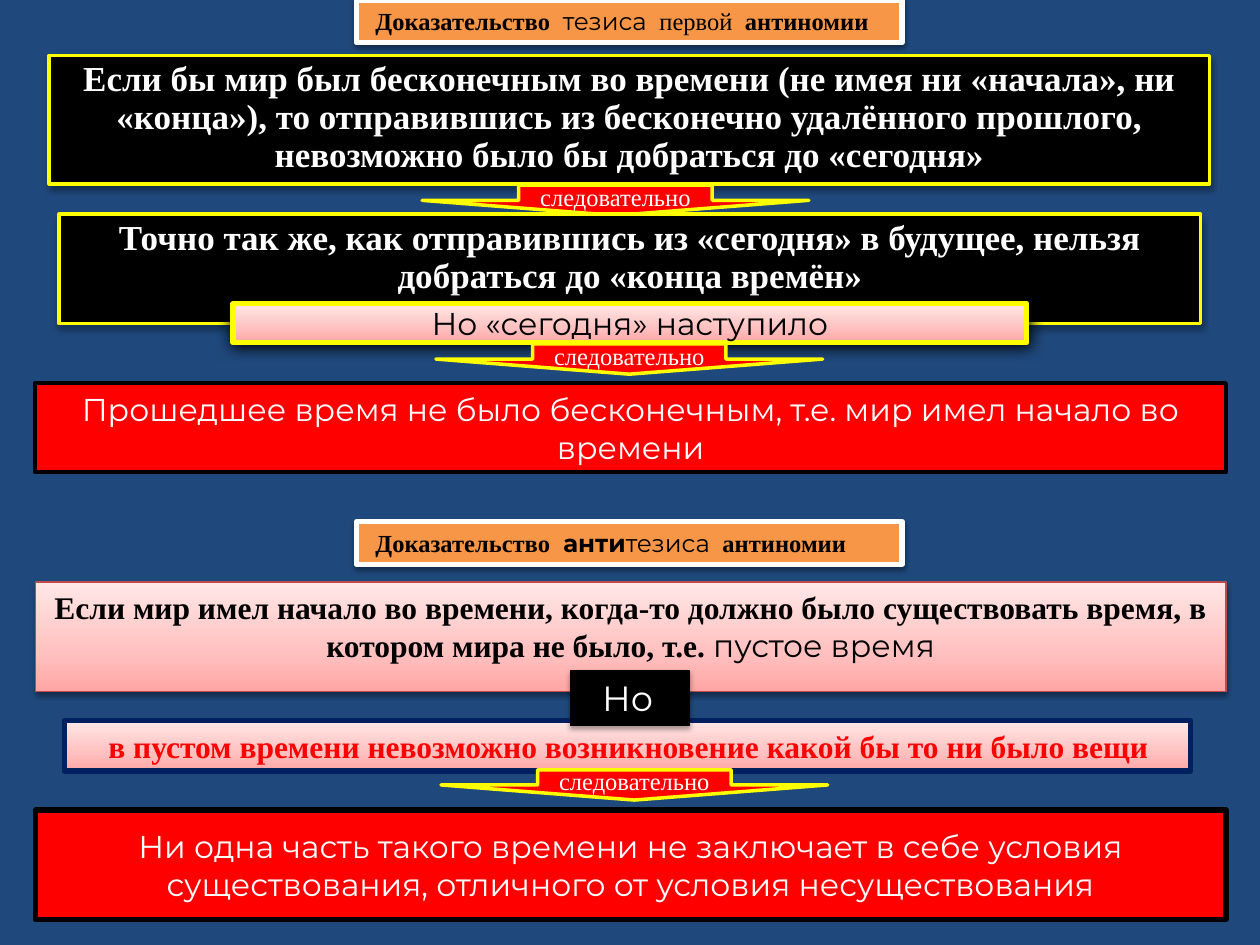
from copy import deepcopy

from lxml import etree
from pptx import Presentation
from pptx.dml.color import RGBColor
from pptx.enum import shapes, text
from pptx.oxml import ns
from pptx.util import Inches, Pt

NAVY = RGBColor(0x1F, 0x49, 0x7D)
DARK_BLUE = RGBColor(0x00, 0x20, 0x60)
ORANGE = RGBColor(0xF7, 0x96, 0x46)
WHITE = RGBColor(0xFF, 0xFF, 0xFF)
BLACK = RGBColor(0x00, 0x00, 0x00)
YELLOW = RGBColor(0xFF, 0xFF, 0x00)
RED = RGBColor(0xFF, 0x00, 0x00)
BRICK = RGBColor(0xBF, 0x4C, 0x48)
PINKS = (
    (0, RGBColor(0xFF, 0xA6, 0xA5)),
    (0.35, RGBColor(0xFF, 0xC0, 0xBF)),
    (1, RGBColor(0xFF, 0xE7, 0xE7)),
)

SERIF = "Times New Roman"
SANS = "Montserrat"
RECT = shapes.MSO_SHAPE.RECTANGLE
ARROW = shapes.MSO_SHAPE.DOWN_ARROW
TOP, MIDDLE = text.MSO_ANCHOR.TOP, text.MSO_ANCHOR.MIDDLE
LEFT, CENTER = text.PP_ALIGN.LEFT, text.PP_ALIGN.CENTER

SOFT_SHADOW = (38, 3.1, 1.6)
DEEP_SHADOW = (32, 3.5, 2.2)
GLOW_SHADOW = (100, 8.5, 1)
LABEL_SHADOW = (35, 3.1, 1.8)


def paint_pink(panel):
    panel.fill.gradient()
    stops = panel._element.spPr.find(".//" + ns.qn("a:gsLst"))
    stops.insert(1, deepcopy(stops[0]))
    for stop, (position, color) in zip(panel.fill.gradient_stops, PINKS):
        stop.position = position
        stop.color.rgb = color
    panel.fill.gradient_angle = 90


def cast_shadow(panel, opacity, blur, distance):
    effects = panel._element.spPr.find(ns.qn("a:effectLst"))
    outer = etree.SubElement(
        effects, ns.qn("a:outerShdw"), blurRad=str(Pt(blur)),
        dist=str(Pt(distance)), dir="5400000", rotWithShape="0")
    color = etree.SubElement(outer, ns.qn("a:srgbClr"), val=str(BLACK))
    etree.SubElement(color, ns.qn("a:alpha"), val=str(opacity * 1000))


def add_panel(slide, box, fill, line, runs, size, color, shadow=None,
              kind=RECT, anchor=MIDDLE, align=CENTER, indent=0, spacing=None):
    panel = slide.shapes.add_shape(kind, *(Inches(side) for side in box))
    if fill is PINKS:
        paint_pink(panel)
    else:
        panel.fill.solid()
        panel.fill.fore_color.rgb = fill
    panel.line.color.rgb, panel.line.width = line[0], Pt(line[1])
    panel.shadow.inherit = False
    if shadow:
        cast_shadow(panel, *shadow)
    frame = panel.text_frame
    frame.word_wrap = True
    frame.vertical_anchor = anchor
    frame.margin_left = Inches(0.1 + indent)
    paragraph = frame.paragraphs[0]
    paragraph.alignment = align
    paragraph.line_spacing = spacing
    for words, font_name, bold in runs:
        run = paragraph.add_run()
        run.text = words
        looks = {"name": font_name, "bold": bold, "size": Pt(size)}
        for key, value in looks.items():
            setattr(run.font, key, value)
        run.font.color.rgb = color


def add_heading(slide, left, top, runs):
    add_panel(slide, (left + 2.55, top, 4.33, 0.34), ORANGE, (WHITE, 3), runs,
              14, BLACK, SOFT_SHADOW, anchor=TOP, align=LEFT, indent=0.05)


def add_therefore(slide, left, top):
    add_panel(slide, (left, top, 3.07, 0.24), RED, (YELLOW, 2),
              [("следовательно", SERIF, False)], 14, WHITE, kind=ARROW)


def add_premise(slide, box, words):
    add_panel(slide, box, BLACK, (YELLOW, 2), [(words, SERIF, True)],
              20, WHITE, DEEP_SHADOW, anchor=TOP, spacing=0.9)


def add_conclusion(slide, box, words, border):
    add_panel(slide, box, RED, (BLACK, border), [(words, SANS, False)], 18, WHITE)


def add_thesis_proof(slide, left, top, width):
    add_heading(slide, left, top, [
        ("Доказательство ", SERIF, True), (" тезиса ", SANS, False),
        (" первой ", SERIF, False), (" антиномии", SERIF, True)])
    add_premise(
        slide, (left + 0.11, top + 0.44, width - 0.24, 1.02),
        "Если бы мир был бесконечным во времени (не имея ни «начала», ни "
        "«конца»), то отправившись из бесконечно удалённого прошлого, "
        "невозможно было бы добраться до «сегодня»")
    add_therefore(slide, left + 3.07, top + 1.47)
    add_premise(
        slide, (left + 0.19, top + 1.7, width - 0.39, 0.87),
        "Точно так же, как отправившись из «сегодня» в будущее, нельзя "
        "добраться до «конца времён»")
    add_panel(slide, (left + 1.57, top + 2.41, 6.3, 0.31), PINKS, (YELLOW, 3),
              [("Но «сегодня» наступило", SANS, False)], 18, BLACK, GLOW_SHADOW)
    add_therefore(slide, left + 3.18, top + 2.73)
    add_conclusion(
        slide, (left, top + 3.04, width, 0.71),
        "Прошедшее время не было бесконечным, т.е. мир имел начало во времени",
        2.25)


def add_antithesis_proof(slide, left, top, width):
    add_heading(slide, left, top, [
        ("Доказательство ", SERIF, True), (" анти", SANS, True),
        ("тезиса ", SANS, False), (" антиномии", SERIF, True)])
    add_panel(
        slide, (left, top + 0.48, width, 0.87), PINKS, (BRICK, 0.75),
        [("Если мир имел начало во времени, когда-то должно было существовать "
          "время, в котором мира не было, т.е. ", SERIF, True),
         ("пустое время", SANS, False)],
        18, BLACK, SOFT_SHADOW, anchor=TOP)
    add_panel(
        slide, (left + 0.23, top + 1.58, width - 0.51, 0.4), PINKS,
        (DARK_BLUE, 3),
        [("в пустом времени невозможно возникновение какой бы то ни было вещи",
          SERIF, True)],
        18, RED, anchor=TOP, align=LEFT, indent=0.25)
    add_panel(slide, (left + 4.25, top + 1.18, 0.94, 0.44), BLACK,
              (BLACK, 0.75), [("Но", SANS, False)], 20, WHITE, LABEL_SHADOW,
              anchor=TOP, align=LEFT, indent=0.15)
    add_therefore(slide, left + 3.22, top + 1.97)
    add_conclusion(
        slide, (left, top + 2.29, width, 0.87),
        "Ни одна часть такого времени не заключает в себе условия "
        "существования, отличного от условия несуществования", 3)


def main():
    deck = Presentation()
    deck.slide_width, deck.slide_height = Inches(10), Inches(7.5)
    slide = deck.slides.add_slide(deck.slide_layouts[6])
    slide.background.fill.solid()
    slide.background.fill.fore_color.rgb = NAVY
    add_thesis_proof(slide, 0.28, 0, 9.45)
    add_antithesis_proof(slide, 0.28, 4.14, 9.45)
    deck.save("out.pptx")


if __name__ == "__main__":
    main()
